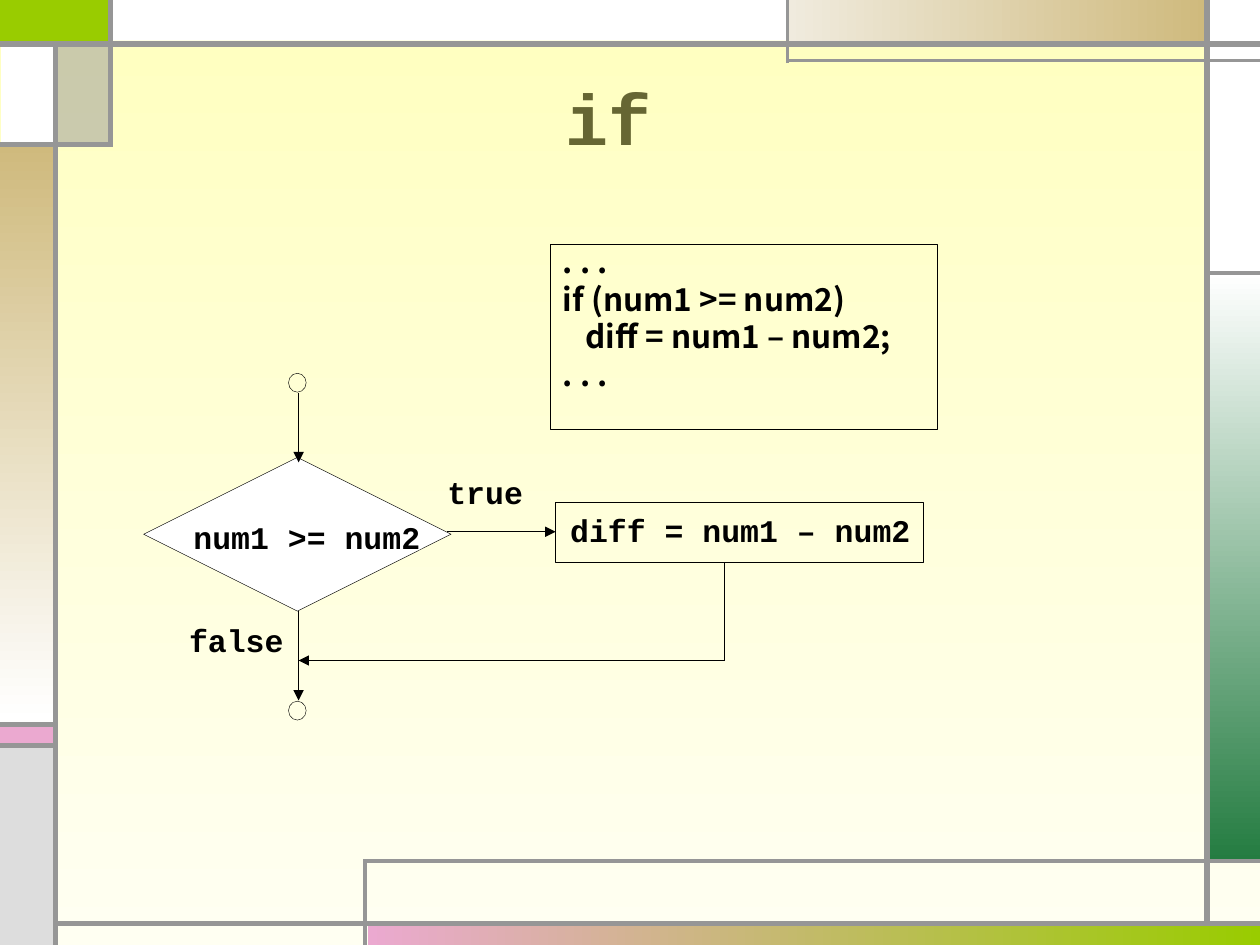
from dataclasses import dataclass
from lxml.etree import SubElement
from pptx import Presentation
from pptx.dml.color import RGBColor
from pptx.enum.shapes import MSO_CONNECTOR, MSO_SHAPE
from pptx.enum.text import MSO_ANCHOR, PP_ALIGN
from pptx.oxml.ns import qn
from pptx.util import Inches, Pt


@dataclass(frozen=True)
class Theme:
    ink: str = "000000"
    title: str = "666633"
    white: str = "FFFFFF"
    grey: str = "969696"
    pale_grey: str = "DDDDDD"
    lime: str = "99CC00"
    pink: str = "EBA9D0"
    tan: str = "CFBA7D"
    cream: str = "F0EBDE"
    green: str = "247C41"
    sky: tuple = ("FFFFBF", "FFFFF2")
    mono: str = "Courier New"
    sans: str = "Noto Sans CJK KR"
    title_size: int = 41
    body_size: int = 18


T = Theme()
W, H = Inches(10), Inches(7.5)
ACROSS, DOWN = 0, 270

PANELS = [
    (0, 0, 8.7, 4.5, T.lime),
    (29.2, 97.73, 70.8, 2.27, (T.pink, T.lime, ACROSS)),
    (95.8, 28.9, 4.2, 62.2, (T.white, T.green, DOWN)),
    (0, 76.7, 4.2, 2.3, T.pink),
    (0, 79.07, 4.2, 20.93, T.pale_grey),
    (95.8, 0, 4.2, 28.9, T.white),
    (62.5, 0, 33.3, 4.4, (T.cream, T.tan, ACROSS)),
    (4.6, 4.4, 4.2, 10.9, T.grey),
    (0, 15.3, 4.2, 61.1, (T.tan, T.white, DOWN)),
    (0.1, 4.4, 4.2, 10.9, T.white),
    (8.6, 0, 53.9, 4.3, T.white),
]
RULES = [
    (4.4, 100, 4.4, 4.4, 3),
    (4.4, 97.73, 100, 97.73, 3),
    (95.8, 97.73, 95.8, 0, 3),
    (0, 4.67, 100, 4.67, 3),
    (100, 6.4, 62.5, 6.4, 2.25),
    (62.5, 6.67, 62.5, 0, 2.25),
    (95.8, 28.9, 100, 28.9, 2.25),
    (8.8, 0, 8.8, 15.6, 3),
    (8.6, 15.3, 0, 15.3, 3),
    (29, 100, 29, 90.93, 2.25),
    (28.9, 91.07, 100, 91.07, 2.25),
    (4.6, 76.7, 0, 76.7, 3),
    (4.6, 78.9, 0, 78.9, 3),
]


def px(share):
    return round(W * share / 100)


def py(share):
    return round(H * share / 100)


def box(x, y, w, h):
    return px(x), py(y), px(w), py(h)


def rgb(color):
    return RGBColor.from_string(color)


def gradient(fill, start, end, angle):
    fill.gradient()
    fill.gradient_angle = angle
    for stop, color, position in zip(fill.gradient_stops, (start, end), (0, 1)):
        stop.color.rgb = rgb(color)
        stop.position = position


def shape(s, kind, place, fill=None, line=None):
    sp = s.shapes.add_shape(kind, *box(*place))
    sp.shadow.inherit = False
    if fill is None:
        sp.fill.background()
    elif isinstance(fill, tuple):
        gradient(sp.fill, *fill)
    else:
        sp.fill.solid()
        sp.fill.fore_color.rgb = rgb(fill)
    if line is None:
        sp.line.fill.background()
    else:
        sp.line.color.rgb = rgb(T.ink)
        sp.line.width = Pt(line)
    return sp


def line(s, x1, y1, x2, y2, width=0.75, color=T.ink, arrow=False):
    c = s.shapes.add_connector(MSO_CONNECTOR.STRAIGHT, px(x1), py(y1), px(x2), py(y2))
    c.line.color.rgb = rgb(color)
    c.line.width = Pt(width)
    pr = c.line._get_or_add_ln().getparent()
    if arrow:
        SubElement(pr.find(qn("a:ln")), qn("a:tailEnd"), type="triangle")
    SubElement(pr, qn("a:effectLst"))


def style(p, font, size, color, align):
    p.alignment = align
    p.font.name, p.font.size, p.font.bold = font, Pt(size), True
    p.font.color.rgb = rgb(color)


def label(s, text, place, align=PP_ALIGN.LEFT):
    tf = s.shapes.add_textbox(*box(*place)).text_frame
    tf.word_wrap = True
    tf.margin_left = tf.margin_right = tf.margin_top = tf.margin_bottom = 0
    p = tf.paragraphs[0]
    p.text = text
    style(p, T.mono, T.body_size, T.ink, align)


def frame(s):
    for *place, fill in PANELS:
        sp = shape(s, MSO_SHAPE.RECTANGLE, place, fill)
        if fill == T.grey:
            SubElement(sp.fill._xPr.find(qn("a:solidFill"))[0], qn("a:alpha"), val="50000")
    for x1, y1, x2, y2, width in RULES:
        line(s, x1, y1, x2, y2, width, T.grey)


def title(s, text):
    sp = s.shapes.title
    sp.left, sp.top, sp.width, sp.height = box(5, 4, 90, 16.67)
    sp.text_frame.vertical_anchor = MSO_ANCHOR.MIDDLE
    p = sp.text_frame.paragraphs[0]
    p.text = text
    style(p, T.mono, T.title_size, T.title, PP_ALIGN.CENTER)


def flowchart(s):
    shape(s, MSO_SHAPE.DIAMOND, (11.4, 48.4, 24.4, 16.27), T.white, 0.25)
    shape(s, MSO_SHAPE.RECTANGLE, (44.1, 53.1, 29.2, 6.37), None, 0.25)
    for y in (39.5, 74.2):
        shape(s, MSO_SHAPE.OVAL, (22.9, y, 1.4, 2), None, 0.25)
    label(s, "num1 >= num2", (13, 54.8, 22.7, 3.73), PP_ALIGN.CENTER)
    label(s, "diff = num1 – num2", (43.4, 54.1, 30.7, 4.27), PP_ALIGN.CENTER)
    label(s, "true", (35.5, 50, 7.1, 4.13))
    label(s, "false", (15, 65.7, 9.1, 5.07))
    axis, merge, turn = 23.7, 69.9, 57.5
    line(s, 35.5, 56.27, 44.1, 56.27, arrow=True)
    line(s, axis, 64.67, axis, 74.13, arrow=True)
    line(s, axis, 41.6, axis, 48.93, arrow=True)
    line(s, turn, merge, axis, merge, arrow=True)
    line(s, turn, merge, turn, 59.47)


def code(s, rows):
    sp = shape(s, MSO_SHAPE.RECTANGLE, (43.7, 25.87, 30.7, 19.6), None, 0.75)
    tf = sp.text_frame
    tf.vertical_anchor = MSO_ANCHOR.TOP
    for i, (indent, text) in enumerate(rows):
        p = tf.paragraphs[0] if i == 0 else tf.add_paragraph()
        p.text = text
        style(p, T.sans, T.body_size, T.ink, PP_ALIGN.LEFT)
        p.line_spacing, p.space_before = 0.75, Pt(5.4)
        if indent:
            p._p.get_or_add_pPr().set("marL", str(px(1.8 * indent)))


def main():
    prs = Presentation()
    prs.slide_width, prs.slide_height = W, H
    s = prs.slides.add_slide(prs.slide_layouts[5])
    gradient(s.background.fill, *T.sky, DOWN)
    frame(s)
    title(s, "if ")
    flowchart(s)
    code(s, [(0, ". . ."), (0, "if (num1 >= num2)"),
             (1, "diff = num1 – num2;"), (0, ". . .")])
    prs.save("out.pptx")


main()
